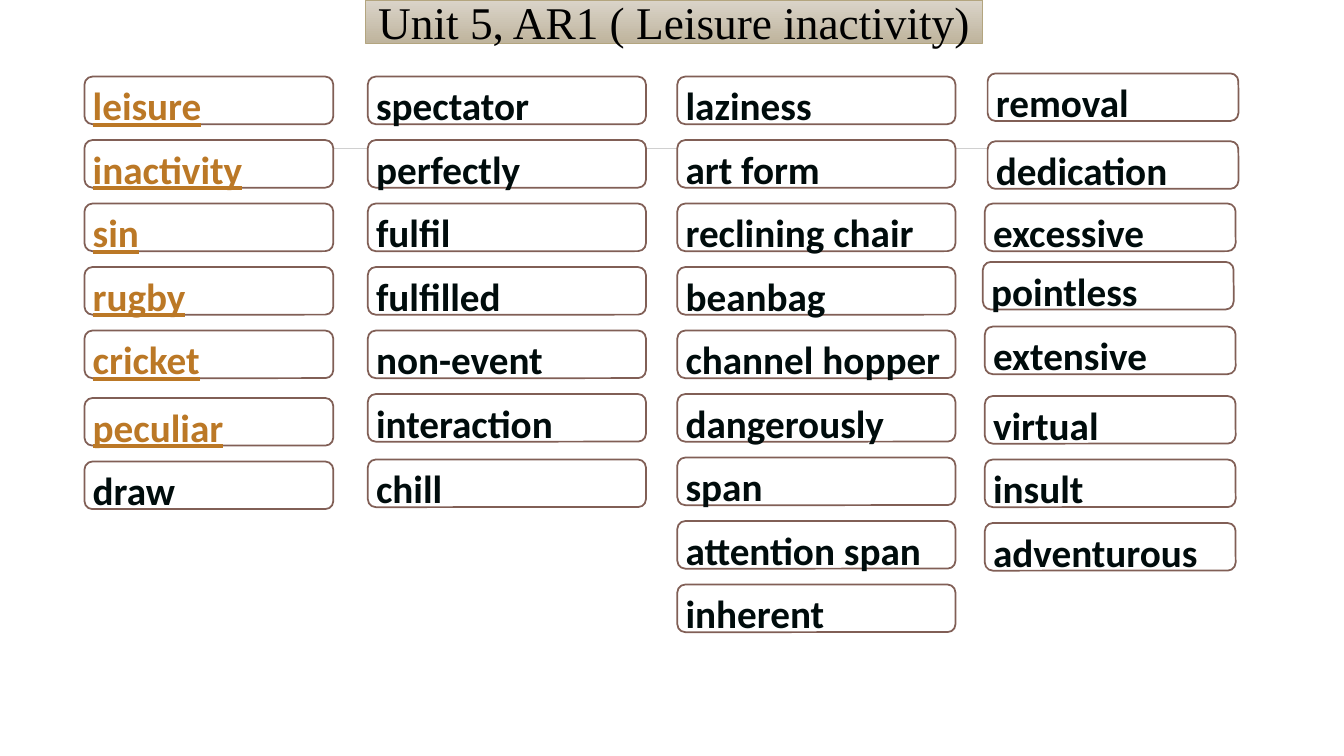
from lxml.etree import SubElement
from pptx import Presentation
from pptx.dml.color import RGBColor
from pptx.enum.shapes import MSO_CONNECTOR, MSO_SHAPE
from pptx.enum.text import MSO_ANCHOR, PP_ALIGN
from pptx.oxml.ns import qn
from pptx.util import Cm, Pt

ROW_PITCH = 1.6
KEY_WORD, PLAIN_WORD = "BB7826", "000C0C"
WORD_GROUPS = [
    (2.13, 1.93, 6.27, KEY_WORD, ["leisure", "inactivity", "sin", "rugby", "cricket"]),
    (2.13, 10.03, 6.27, KEY_WORD, ["peculiar"]),
    (2.13, 11.63, 6.27, PLAIN_WORD, ["draw"]),
    (9.27, 1.93, 7.01, PLAIN_WORD,
     ["spectator", "perfectly", "fulfil", "fulfilled", "non-event", "interaction"]),
    (9.27, 11.58, 7.01, PLAIN_WORD, ["chill"]),
    (17.07, 1.93, 7.01, PLAIN_WORD,
     ["laziness", "art form", "reclining chair", "beanbag", "channel hopper",
      "dangerously", "span", "attention span", "inherent"]),
    (24.89, 1.85, 6.32, PLAIN_WORD, ["removal"]),
    (24.89, 3.56, 6.32, PLAIN_WORD, ["dedication"]),
    (24.82, 5.13, 6.32, PLAIN_WORD, ["excessive"]),
    (24.77, 6.6, 6.32, PLAIN_WORD, ["pointless"]),
    (24.82, 8.23, 6.32, PLAIN_WORD, ["extensive"]),
    (24.82, 9.98, 6.32, PLAIN_WORD, ["virtual", "insult", "adventurous"]),
]


def color(value):
    return RGBColor.from_string(value)


class VocabularySlide:
    """Draws the elements of a vocabulary slide in one style."""

    title_font, word_font = "Times New Roman", "Calibri"
    outline = "815F56"

    def __init__(self, presentation):
        self.slide = presentation.slides.add_slide(presentation.slide_layouts[5])

    def add_text(self, paragraph, text, font_name, size, text_color):
        run = paragraph.add_run()
        run.text = text
        run.font.name = font_name
        run.font.size = Pt(size)
        run.font.color.rgb = color(text_color)
        return run

    def title(self, text, left, top, width, height):
        shape = self.slide.shapes.title
        shape.left, shape.top = Cm(left), Cm(top)
        shape.width, shape.height = Cm(width), Cm(height)
        shape.fill.gradient()
        shape.fill.gradient_angle = 270
        for stop, value in zip(shape.fill.gradient_stops, ("DAD4C9", "BFB49D")):
            stop.color.rgb = color(value)
        shape.line.color.rgb = color("B3A57F")
        shape.line.width = Pt(0.75)
        frame = shape.text_frame
        frame.word_wrap = False
        frame.vertical_anchor = MSO_ANCHOR.MIDDLE
        paragraph = frame.paragraphs[0]
        paragraph.alignment = PP_ALIGN.CENTER
        self.add_text(paragraph, text, self.title_font, 32.4, "000000")

    def rule(self, left, right, top):
        line = self.slide.shapes.add_connector(
            MSO_CONNECTOR.STRAIGHT, Cm(left), Cm(top), Cm(right), Cm(top))
        line.line.color.rgb = color("D0D0D0")
        line.line.width = Pt(0.5)
        SubElement(line._element.spPr, qn("a:effectLst"))

    def word_box(self, word, left, top, width, text_color):
        shape = self.slide.shapes.add_shape(
            MSO_SHAPE.ROUNDED_RECTANGLE, Cm(left), Cm(top), Cm(width), Cm(1.2))
        shape.shadow.inherit = False
        shape.fill.solid()
        shape.fill.fore_color.rgb = color("FFFFFF")
        shape.line.color.rgb = color(self.outline)
        shape.line.width = Pt(1.25)
        frame = shape.text_frame
        frame.word_wrap = True
        frame.vertical_anchor = MSO_ANCHOR.MIDDLE
        frame.margin_left, frame.margin_right = Cm(0.15), Cm(0.05)
        frame.margin_top = frame.margin_bottom = Cm(0.03)
        paragraph = frame.paragraphs[0]
        paragraph.alignment = PP_ALIGN.LEFT
        paragraph.line_spacing = 1.2
        run = self.add_text(paragraph, word, self.word_font, 28, text_color)
        run.font.bold = True
        run.font.underline = text_color == KEY_WORD


def main():
    presentation = Presentation()
    presentation.slide_width, presentation.slide_height = Cm(33.87), Cm(19.05)
    vocabulary = VocabularySlide(presentation)
    vocabulary.rule(4.67, 29.08, 3.75)
    vocabulary.title("Unit 5, AR1 ( Leisure inactivity)", 9.22, 0, 15.54, 1.09)
    for left, top, width, text_color, words in WORD_GROUPS:
        for row, word in enumerate(words):
            vocabulary.word_box(word, left, top + row * ROW_PITCH, width, text_color)
    presentation.save("out.pptx")


if __name__ == "__main__":
    main()
